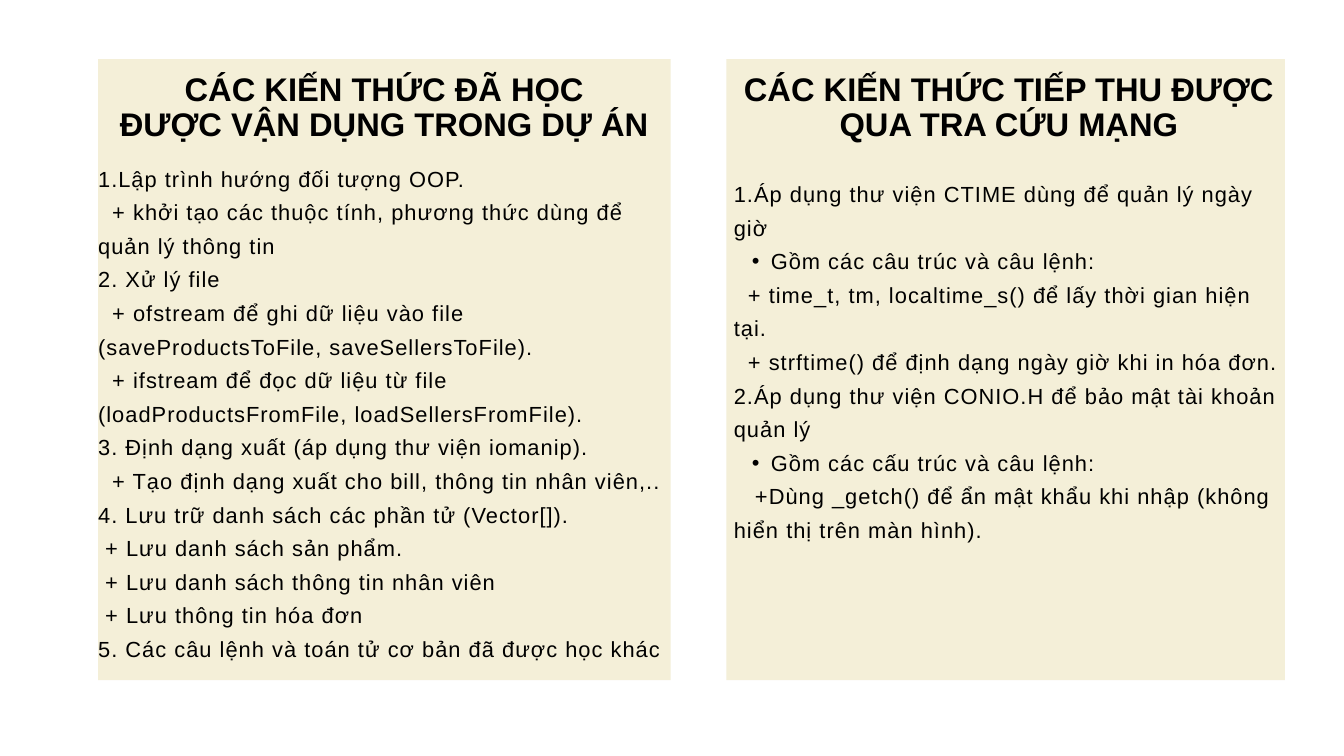
from dataclasses import dataclass

from lxml.etree import SubElement
from pptx import Presentation
from pptx.dml.color import RGBColor
from pptx.enum.shapes import MSO_SHAPE
from pptx.enum.text import MSO_AUTO_SIZE, PP_ALIGN
from pptx.oxml.ns import qn
from pptx.slide import Slide
from pptx.util import Inches, Pt

COLORS = {"panel": "F4EFD8", "text": "000000"}
SPACE = 0.105  # width in inches of one step of first-line indent
TOP, HEIGHT = 0.88, 9.24
TITLE_TOP, TITLE_HEIGHT = 1.09, 1.12


@dataclass
class Style:
    font: dict
    line: dict
    track: int = 0


@dataclass
class Line:
    text: str
    steps: int = 0
    bullet: bool = False


@dataclass
class Panel:
    left: float
    width: float
    text_left: float
    text_width: float
    body_top: float
    body_height: float
    title: list[Line]
    body: list[Line]


TITLE = Style({"name": "Arial", "size": Pt(35), "bold": True},
              {"alignment": PP_ALIGN.CENTER, "line_spacing": Pt(37.5)})
BODY = Style({"name": "Arial", "size": Pt(23.4), "bold": False},
             {"alignment": PP_ALIGN.LEFT, "line_spacing": Pt(36)}, track=110)

PANELS = [
    Panel(1.46, 8.52, 1.46, 8.52, 2.35, 10.31,
          [Line("CÁC KIẾN THỨC ĐÃ HỌC"), Line("ĐƯỢC VẬN DỤNG TRONG DỰ ÁN")],
          [Line("1.Lập trình hướng đối tượng OOP."),
           Line("+ khởi tạo các thuộc tính, phương thức dùng để quản lý thông tin", 2),
           Line("2. Xử lý file"),
           Line("+ ofstream để ghi dữ liệu vào file (saveProductsToFile, saveSellersToFile).", 2),
           Line("+ ifstream để đọc dữ liệu từ file (loadProductsFromFile, loadSellersFromFile).", 2),
           Line("3. Định dạng xuất (áp dụng thư viện iomanip)."),
           Line("+ Tạo định dạng xuất cho bill, thông tin nhân viên,..", 2),
           Line("4. Lưu trữ danh sách các phần tử (Vector[])."),
           Line("+ Lưu danh sách sản phẩm.", 1),
           Line("+ Lưu danh sách thông tin nhân viên", 1),
           Line("+ Lưu thông tin hóa đơn", 1),
           Line("5. Các câu lệnh và toán tử cơ bản đã được học khác")]),
    Panel(10.81, 8.31, 10.92, 8.19, 2.58, 6.54,
          [Line("CÁC KIẾN THỨC TIẾP THU ĐƯỢC QUA TRA CỨU MẠNG")],
          [Line("1.Áp dụng thư viện CTIME dùng để quản lý ngày giờ"),
           Line("Gồm các câu trúc và câu lệnh:", bullet=True),
           Line("+ time_t, tm, localtime_s() để lấy thời gian hiện tại.", 2),
           Line("+ strftime() để định dạng ngày giờ khi in hóa đơn.", 2),
           Line("2.Áp dụng thư viện CONIO.H để bảo mật tài khoản quản lý"),
           Line("Gồm các cấu trúc và câu lệnh:", bullet=True),
           Line("+Dùng _getch() để ẩn mật khẩu khi nhập (không hiển thị trên màn hình).", 3)]),
]


def apply(target: object, values: dict) -> None:
    for name, value in values.items():
        setattr(target, name, value)


def indent(para, line: Line) -> None:
    """Set a hanging bullet or a first-line indent."""
    props = para._p.get_or_add_pPr()
    if line.bullet:
        para.level = 1
        props.set("marL", str(Inches(0.55)))
        props.set("indent", str(Inches(-0.28)))
        SubElement(props, qn("a:buFont")).set("typeface", "Arial")
        SubElement(props, qn("a:buChar")).set("char", "•")
    elif line.steps:
        props.set("marL", "0")
        props.set("indent", str(Inches(line.steps * SPACE)))


def add_text(slide: Slide, box: tuple[float, ...], lines: list[Line], style: Style) -> None:
    frame = slide.shapes.add_textbox(*map(Inches, box)).text_frame
    apply(frame, {"margin_left": 0, "margin_top": 0, "margin_right": 0, "margin_bottom": 0,
                  "word_wrap": True, "auto_size": MSO_AUTO_SIZE.SHAPE_TO_FIT_TEXT})
    for i, line in enumerate(lines):
        para = frame.add_paragraph() if i else frame.paragraphs[0]
        apply(para, style.line)
        indent(para, line)
        run = para.add_run()
        run.text = line.text
        apply(run.font, style.font)
        run.font.color.rgb = RGBColor.from_string(COLORS["text"])
        if style.track:
            run._r.get_or_add_rPr().set("spc", str(style.track))


def add_panel(slide: Slide, panel: Panel) -> None:
    box = map(Inches, (panel.left, TOP, panel.width, HEIGHT))
    rect = slide.shapes.add_shape(MSO_SHAPE.RECTANGLE, *box)
    rect.shadow.inherit = False
    rect.fill.solid()
    rect.fill.fore_color.rgb = RGBColor.from_string(COLORS["panel"])
    rect.line.fill.background()
    left, width = panel.text_left, panel.text_width
    add_text(slide, (left, TITLE_TOP, width, TITLE_HEIGHT), panel.title, TITLE)
    add_text(slide, (left, panel.body_top, width, panel.body_height), panel.body, BODY)


def main() -> None:
    deck = Presentation()
    deck.slide_width, deck.slide_height = Inches(20), Inches(11.25)
    slide = deck.slides.add_slide(deck.slide_layouts[6])
    for panel in PANELS:
        add_panel(slide, panel)
    deck.save("out.pptx")


if __name__ == "__main__":
    main()
